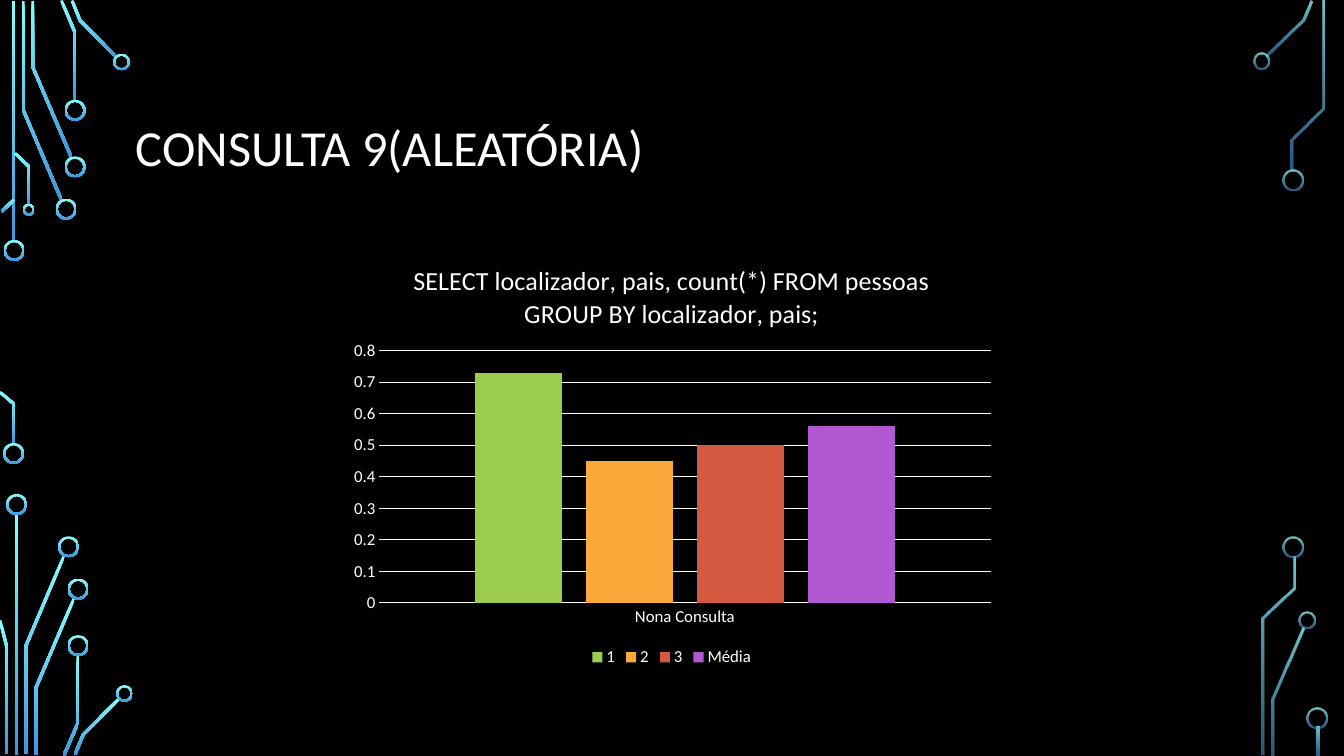
import math
import pptx
import pptx.util
import pptx.chart.data
import pptx.dml.color
import pptx.enum.chart
import pptx.enum.shapes
import pptx.enum.text
import pptx.oxml
import pptx.oxml.ns
from lxml import etree

Pt = pptx.util.Pt
qn = pptx.oxml.ns.qn
FONT = "Calibri"
COLORS = {"bg": "000000", "text": "FFFFFF", "glow": "82FFFF", "deep": "3D97DE",
          "1": "9ACD4C", "2": "FAA93A", "3": "D35940", "Média": "B258D3"}
RGB = {k: pptx.dml.color.RGBColor.from_string(v) for k, v in COLORS.items()}
TRACE_W = 2
RING_W = 1.44

prs = pptx.Presentation()
prs.slide_width, prs.slide_height = Pt(960), Pt(540)
s = prs.slides.add_slide(prs.slide_layouts[6])
s.background.fill.solid()
s.background.fill.fore_color.rgb = RGB["bg"]


def style_circuit(sp, alphas):
    """Vertical glow gradient without outline; alphas in percent per stop."""
    sp.shadow.inherit = False
    sp.line.fill.background()
    sp.fill.gradient()
    sp.fill.gradient_angle = 270
    for stop, name, alpha in zip(sp.fill.gradient_stops, ("glow", "deep"), alphas):
        stop.color.rgb = RGB[name]
    for clr, alpha in zip(sp._element.spPr.iter(qn("a:srgbClr")), alphas):
        if alpha < 100:
            etree.SubElement(clr, qn("a:alpha")).set("val", str(alpha * 1000))


def band(points, width):
    """Outline of a bent band around a centre line, with mitred corners."""
    normals = []
    for (x1, y1), (x2, y2) in zip(points, points[1:]):
        d = math.hypot(x2 - x1, y2 - y1)
        normals.append(((y1 - y2) / d, (x2 - x1) / d))
    left, right = [], []
    for (x, y), (ax, ay), (bx, by) in zip(points, normals[:1] + normals, normals + normals[-1:]):
        k = width / 2 / (1 + ax * bx + ay * by)
        dx, dy = k * (ax + bx), k * (ay + by)
        left.append((x + dx, y + dy))
        right.append((x - dx, y - dy))
    return [(Pt(x), Pt(y)) for x, y in left + right[::-1]]


# Circuit traces (centre lines) and nodes (centre x, centre y, diameter)
left_traces = [
    [(9.7, 0.7), (9.7, 172.8)],
    [(16.6, 0.7), (16.6, 78.5), (43.9, 142.9)],
    [(23.4, 0.7), (23.4, 47.9), (51.1, 112.7)],
    [(43.9, 0.4), (53.8, 23.8), (53.8, 72)],
    [(51.5, 0.4), (57.2, 14.6), (83.2, 41)],
    [(1.1, 151.2), (10.1, 142.6)],
    [(0, 280.1), (10.1, 288.7), (10.1, 317.5)],
    [(10.8, 109.4), (20.9, 119.2), (20.9, 146.2)],
    [(11.7, 367.2), (11.7, 539.3)],
    [(18.4, 538.6), (18.4, 461.5), (45.7, 397.1)],
    [(0, 443.2), (4.7, 461.5), (4.7, 538.6)],
    [(25.6, 539.3), (25.6, 491.4), (52.9, 427.3)],
    [(45.7, 539.6), (55.8, 516.2), (55.8, 468)],
    [(53.6, 538.9), (59.4, 524.9), (85, 499)],
]
left_nodes = [
    (10.1, 178.9, 15), (9.7, 324, 15), (47.2, 149.4, 15), (53.6, 119.2, 15),
    (53.6, 78.8, 15), (86.8, 44.3, 12), (20.5, 149.8, 8.6), (11.9, 360.4, 15),
    (49, 390.6, 15), (55.8, 420.8, 15), (55.8, 461.2, 15), (88.9, 495.4, 12),
]
right_traces = [
    [(936.4, 0.4), (931, 14), (905, 40)],
    [(909, 539.3), (909, 499.3), (931, 448.9)],
    [(945, 0.7), (945, 77.4), (923, 99.7), (923, 121.7)],
    [(901.8, 539.3), (901.8, 441.7), (924.1, 420.1), (924.1, 397.4)],
    [(941.4, 519.1), (941.4, 539.3)],
]
right_nodes = [(901.1, 43.6, 12), (923.4, 128.5, 15), (933.5, 443.2, 12),
               (923.8, 390.6, 15), (940.7, 512.6, 15)]

for traces, nodes, alphas in ((left_traces, left_nodes, (100, 100)),
                              (right_traces, right_nodes, (80, 60))):
    for trace in traces:
        outline = band(trace, TRACE_W)
        fb = s.shapes.build_freeform(*outline[0])
        fb.add_line_segments(outline[1:], close=True)
        style_circuit(fb.convert_to_shape(), alphas)
    for x, y, d in nodes:
        sp = s.shapes.add_shape(pptx.enum.shapes.MSO_SHAPE.DONUT,
                                Pt(x - d / 2), Pt(y - d / 2), Pt(d), Pt(d))
        sp.adjustments[0] = RING_W / d
        style_circuit(sp, alphas)

# Title
tf = s.shapes.add_textbox(Pt(90), Pt(49), Pt(780), Pt(116.6)).text_frame
tf.word_wrap = True
tf.vertical_anchor = pptx.enum.text.MSO_ANCHOR.MIDDLE
p = tf.paragraphs[0]
p.text = "CONSULTA 9(ALEATÓRIA)"
p.line_spacing = 0.9
title_font = p.runs[0].font

# Column chart
data = pptx.chart.data.CategoryChartData()
data.categories = ["Nona Consulta"]
results = {"1": 0.73, "2": 0.45, "3": 0.5, "Média": 0.56}
for name, value in results.items():
    data.add_series(name, [value])
chart = s.shapes.add_chart(pptx.enum.chart.XL_CHART_TYPE.COLUMN_CLUSTERED,
                           Pt(242.6), Pt(174.2), Pt(474.5), Pt(305.3), data).chart
plot = chart.plots[0]
plot.vary_by_categories = False
plot.gap_width, plot.overlap = 219, -27
for series in plot.series:
    series.format.fill.solid()
    series.format.fill.fore_color.rgb = RGB[series.name]

chart.has_title = True
chart.chart_title.include_in_layout = False
p = chart.chart_title.text_frame.paragraphs[0]
p.text = "SELECT localizador, pais, count(*) FROM pessoas GROUP BY localizador, pais;"
query_font = p.runs[0].font

chart.has_legend = True
chart.legend.position = pptx.enum.chart.XL_LEGEND_POSITION.BOTTOM
chart.legend.include_in_layout = False

# Axes
cat_axis, val_axis = chart.category_axis, chart.value_axis
val_axis.minimum_scale, val_axis.maximum_scale, val_axis.major_unit = 0, 0.8, 0.1
val_axis.has_major_gridlines = True
val_axis.format.line.fill.background()
for axis in (cat_axis, val_axis):
    axis.major_tick_mark = pptx.enum.chart.XL_TICK_MARK.NONE
for line in (cat_axis.format.line, val_axis.major_gridlines.format.line):
    line.color.rgb = RGB["text"]
    line.width = Pt(0.75)

# Fonts
for font, size in ((title_font, 36), (query_font, 18.6), (chart.font, 10),
                   (chart.legend.font, 12), (cat_axis.tick_labels.font, 12),
                   (val_axis.tick_labels.font, 12)):
    font.name, font.size, font.bold = FONT, Pt(size), False
    font.color.rgb = RGB["text"]

# Inner plot area as fractions of the chart
plot_area = chart._chartSpace.chart.plotArea
for old in plot_area.findall(qn("c:layout")):
    plot_area.remove(old)
layout = etree.Element(qn("c:layout"))
manual = etree.SubElement(layout, qn("c:manualLayout"))
for tag, val in (("layoutTarget", "inner"), ("xMode", "edge"), ("yMode", "edge"),
                 ("x", "0.06"), ("y", "0.25"), ("w", "0.92"), ("h", "0.59")):
    etree.SubElement(manual, qn("c:" + tag)).set("val", val)
plot_area.insert(0, layout)

prs.save("out.pptx")
